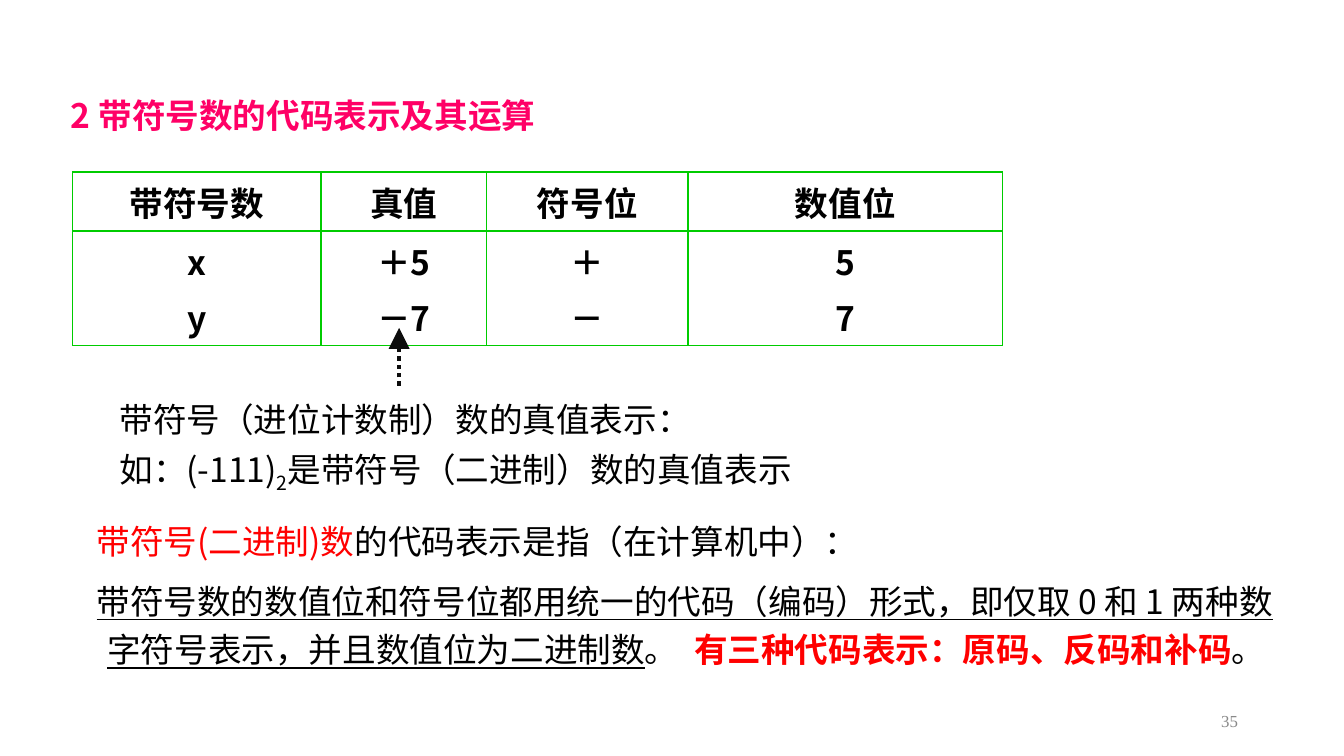
from lxml import etree
from pptx import Presentation
from pptx.dml.color import RGBColor
from pptx.enum.dml import MSO_LINE
from pptx.enum.shapes import MSO_CONNECTOR
from pptx.enum.text import MSO_ANCHOR, PP_ALIGN
from pptx.oxml.ns import qn
from pptx.util import Inches, Pt

BLACK = RGBColor(0x00, 0x00, 0x00)
RED = RGBColor(0xFF, 0x00, 0x00)
PINK = RGBColor(0xFF, 0x00, 0x66)
GRAY = RGBColor(0x89, 0x89, 0x89)
ARROW_COLOR = RGBColor(0x0D, 0x0D, 0x0D)
GREEN = RGBColor(0x00, 0xCC, 0x00)
CJK_FONT = "Noto Sans CJK SC"


def add_run(paragraph, text, color=BLACK, **font_values):
    run = paragraph.add_run()
    run.text = text
    values = {"name": CJK_FONT, "size": Pt(18), **font_values}
    for name, value in values.items():
        setattr(run.font, name, value)
    run.font.color.rgb = color
    east_asian = etree.SubElement(run.font._element, qn("a:ea"))
    east_asian.set("typeface", values["name"])
    return run


def add_text_frame(left, top, width, height):
    box = slide.shapes.add_textbox(Inches(left), Inches(top), Inches(width), Inches(height))
    box.text_frame.word_wrap = True
    return box.text_frame


presentation = Presentation()
presentation.slide_width = Inches(10)
presentation.slide_height = Inches(10) * 9 // 16
slide = presentation.slides.add_slide(presentation.slide_layouts[6])

# Page number
number_frame = add_text_frame(7.06, 5.21, 2.25, 0.3)
number_frame.vertical_anchor = MSO_ANCHOR.MIDDLE
number_frame.paragraphs[0].alignment = PP_ALIGN.RIGHT
add_run(number_frame.paragraphs[0], "35", GRAY, name="Times New Roman", size=Pt(9))

# Title
title = add_text_frame(0.43, 0.69, 8.33, 0.58).paragraphs[0]
title.line_spacing = 0.9
add_run(title, "2 带符号数的代码表示及其运算", PINK, bold=True)

# Code representation
body_frame = add_text_frame(0.51, 3.77, 9.08, 1.56)
introduction = body_frame.paragraphs[0]
definition = body_frame.add_paragraph()
definition.space_before = Pt(6)
for paragraph in (introduction, definition):
    paragraph.line_spacing = 1.2
    properties = paragraph._p.get_or_add_pPr()
    properties.set("marL", str(Inches(0.19)))
    properties.set("indent", str(Inches(-0.08)))
add_run(introduction, "带符号(二进制)数", RED)
add_run(introduction, "的代码表示是指（在计算机中）：")
add_run(
    definition,
    "带符号数的数值位和符号位都用统一的代码（编码）形式，即仅取 0 和 1 两种"
    "数字符号表示，并且数值位为二进制数",
    underline=True)
add_run(definition, "。")
wide_space = add_run(definition, " ")
wide_space.font._element.set("spc", "430")
add_run(definition, "有三种代码表示：原码、反码和补码", RED, bold=True)
add_run(definition, "。")

# Table of signed numbers
rows = [
    [["带符号数"], ["真值"], ["符号位"], ["数值位"]],
    [["x", "y"], ["＋5", "－7"], ["＋", "－"], ["5", "7"]],
]
table = slide.shapes.add_table(
    2, 4, Inches(0.54), Inches(1.28), Inches(6.92), Inches(1.29)).table
for column, width in zip(table.columns, [1.85, 1.23, 1.5, 2.34]):
    column.width = Inches(width)
for row, height in zip(table.rows, [0.44, 0.85]):
    row.height = Inches(height)
for row_index, row in enumerate(rows):
    for column_index, lines in enumerate(row):
        cell = table.cell(row_index, column_index)
        cell.margin_top = cell.margin_bottom = Inches(0.04)
        for index, text in enumerate(lines):
            paragraph = cell.text_frame.add_paragraph() if index else cell.text_frame.paragraphs[0]
            paragraph.alignment = PP_ALIGN.CENTER
            if index:
                paragraph.space_before = Pt(4)
            add_run(paragraph, text, bold=True)
        cell_properties = cell._tc.get_or_add_tcPr()
        for side in ("a:lnL", "a:lnR", "a:lnT", "a:lnB"):
            border = etree.SubElement(cell_properties, qn(side), w=str(Pt(1)))
            fill = etree.SubElement(border, qn("a:solidFill"))
            etree.SubElement(fill, qn("a:srgbClr"), val=str(GREEN))
        cell.fill.background()

# Dotted arrow up to the true value
arrow = slide.shapes.add_connector(
    MSO_CONNECTOR.STRAIGHT, Inches(2.97), Inches(2.87), Inches(2.97), Inches(2.44))
arrow.line.color.rgb = ARROW_COLOR
arrow.line.width = Pt(2.25)
arrow.line.dash_style = MSO_LINE.ROUND_DOT
etree.SubElement(
    arrow.line._get_or_add_ln(), qn("a:tailEnd"), type="triangle", w="lg", len="lg")
etree.SubElement(arrow._element.spPr, qn("a:effectLst"))

# True value representation
true_value_frame = add_text_frame(0.79, 2.86, 8.42, 0.83)
heading = true_value_frame.paragraphs[0]
example = true_value_frame.add_paragraph()
heading.line_spacing = example.line_spacing = 1.2
add_run(heading, "带符号（进位计数制）数的真值表示：")
add_run(example, "如：(-111)")
subscript = add_run(example, "2")
subscript.font._element.set("baseline", "-25000")
add_run(example, "是带符号（二进制）数的真值表示")

presentation.save("out.pptx")
